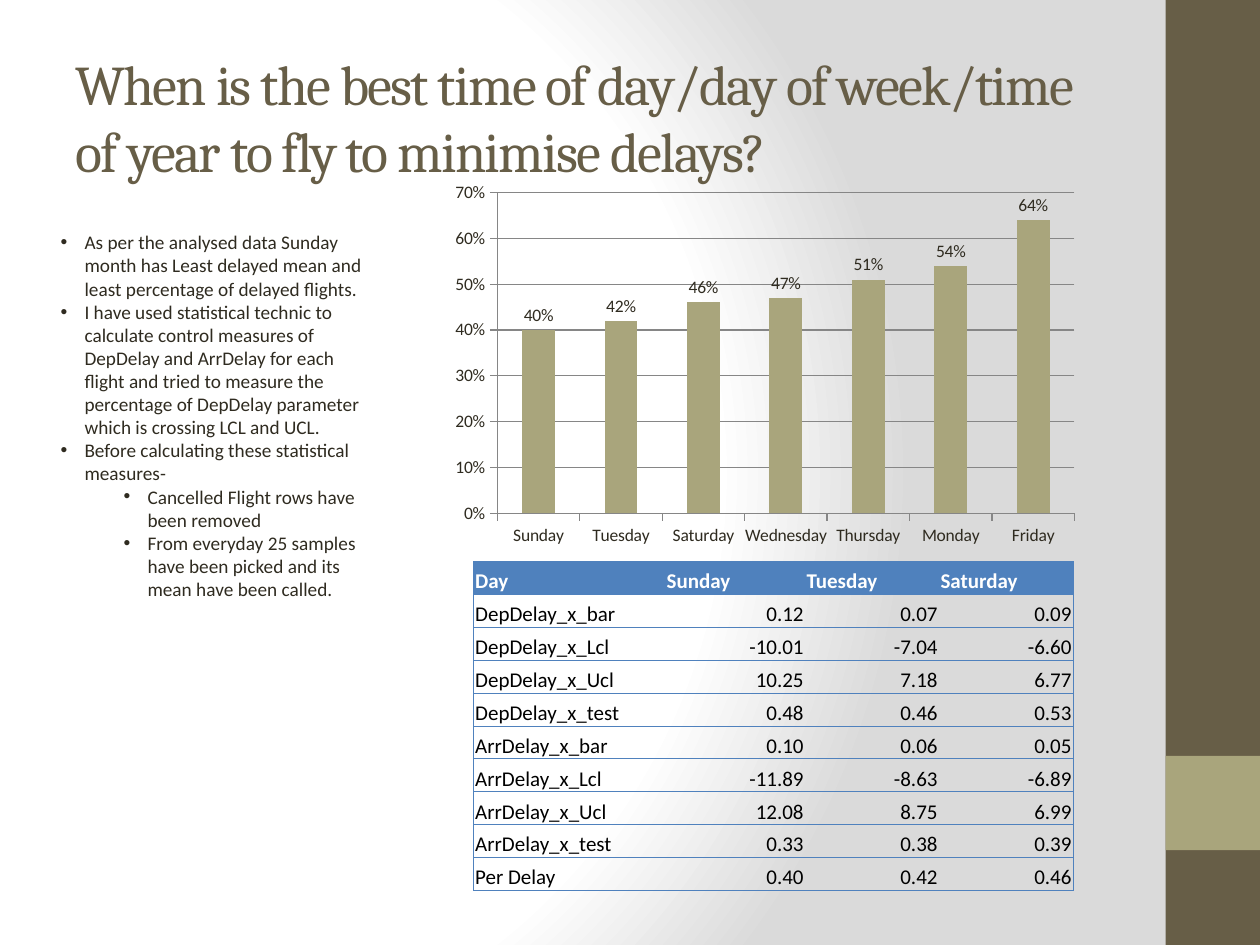
from dataclasses import dataclass
from pptx import Presentation
from pptx import util as u
from pptx import oxml
from pptx.chart import data as cd
from pptx.dml import color as dc
from pptx.enum import chart as ch, shapes, text
from pptx.oxml import ns

OLIVE, SAGE, INK, BLUE, GRID = "675E47", "A9A57C", "2F2B20", "4F81BD", "868686"


@dataclass
class Box:
    left: float
    top: float
    wide: float
    high: float

    def cm(self) -> list:
        return [u.Cm(v) for v in (self.left, self.top, self.wide, self.high)]


@dataclass
class Band:
    box: Box
    fill: str


@dataclass
class Point:
    words: str
    level: int = 0


def paint(obj, shade: str) -> None:
    obj.fill.solid()
    obj.fill.fore_color.rgb = dc.RGBColor.from_string(shade)


def style(font, name: str, size: float, shade: str, bold: bool = False) -> None:
    font.name, font.size, font.bold = name, u.Pt(size), bold
    font.color.rgb = dc.RGBColor.from_string(shade)


def place(shape, box: Box) -> None:
    shape.left, shape.top, shape.width, shape.height = box.cm()


def backdrop(slide) -> None:
    stops = "".join(
        f'<a:gs pos="{pos * 1000}"><a:srgbClr val="{shade}"/></a:gs>'
        for pos, shade in ((0, "FFFFFF"), (75, "FFFFFF"), (100, "DADADA")))
    slide.element.cSld.insert(0, oxml.parse_xml(
        f'<p:bg {ns.nsdecls("p", "a")}><p:bgPr><a:gradFill rotWithShape="1">'
        f'<a:gsLst>{stops}</a:gsLst><a:path path="circle">'
        '<a:fillToRect l="20000" t="50000" r="100000" b="50000"/></a:path>'
        '</a:gradFill><a:effectLst/></p:bgPr></p:bg>'))


def draw_band(slide, band: Band) -> None:
    rect = slide.shapes.add_shape(shapes.MSO_SHAPE.RECTANGLE, *band.box.cm())
    rect.shadow.inherit = False
    paint(rect, band.fill)
    rect.line.fill.background()


def head(slide, words: str, box: Box) -> None:
    title = slide.shapes.title
    place(title, box)
    frame = title.text_frame
    frame.text = words
    frame.auto_size = text.MSO_AUTO_SIZE.NONE
    frame.vertical_anchor = text.MSO_ANCHOR.MIDDLE
    para = frame.paragraphs[0]
    para.alignment = text.PP_ALIGN.LEFT
    style(para.runs[0].font, "Cambria", 32, OLIVE)
    para.runs[0].font._element.set("spc", "-100")


def points(slide, items: list[Point], box: Box) -> None:
    body = slide.placeholders[1]
    place(body, box)
    frame = body.text_frame
    frame.text = "\n".join(item.words for item in items)
    frame.auto_size = text.MSO_AUTO_SIZE.NONE
    for para, item in zip(frame.paragraphs, items):
        para.level = item.level
        para.space_before = u.Pt(0)
        style(para.runs[0].font, "Calibri", 11, INK)
        props = para._p.get_or_add_pPr()
        props.set("marL", str(u.Cm(0.48 + 1.27 * item.level)))
        props.set("indent", str(-u.Cm(0.48)))
        for tag in ('buFont typeface="Arial"', 'buChar char="•"'):
            props.append(oxml.parse_xml(f'<a:{tag} {ns.nsdecls("a")}/>'))


def graph(slide, days: list[str], rates: list[float], box: Box) -> None:
    data = cd.CategoryChartData(number_format="0%")
    data.categories = days
    data.add_series("Series 1", rates)
    chart = slide.shapes.add_chart(
        ch.XL_CHART_TYPE.COLUMN_CLUSTERED, *box.cm(), data).chart
    chart.has_legend = chart.has_title = False
    style(chart.font, "Calibri", 10, INK)
    plot = chart.plots[0]
    plot.gap_width, plot.vary_by_categories = 150, False
    paint(plot.series[0].format, SAGE)
    plot.has_data_labels = True
    tags = plot.data_labels
    tags.show_value, tags.number_format_is_linked = True, False
    tags.number_format = "0%"
    tags.position = ch.XL_LABEL_POSITION.OUTSIDE_END
    rates_axis = chart.value_axis
    rates_axis.minimum_scale, rates_axis.maximum_scale = 0, 0.7
    rates_axis.major_unit = 0.1
    rates_axis.has_major_gridlines = True
    rates_axis.tick_labels.number_format = "0%"
    rates_axis.tick_labels.number_format_is_linked = False
    for axis in (rates_axis, chart.category_axis):
        axis.major_tick_mark = ch.XL_TICK_MARK.OUTSIDE
    for part in (rates_axis, chart.category_axis, rates_axis.major_gridlines):
        part.format.line.width = u.Pt(0.75)
        part.format.line.color.rgb = dc.RGBColor.from_string(GRID)


def edge(cell, sides: str) -> None:
    props = cell._tc.get_or_add_tcPr()
    for at, side in enumerate(sides):
        props.insert(at, oxml.parse_xml(
            f'<a:ln{side} {ns.nsdecls("a")} w="{u.Pt(0.5)}"><a:solidFill>'
            f'<a:srgbClr val="{BLUE}"/></a:solidFill></a:ln{side}>'))


def grid(slide, rows: list[list[str]], wides: list[float], box: Box) -> None:
    table = slide.shapes.add_table(len(rows), len(wides), *box.cm()).table
    table.horz_banding = False
    table._tbl.tblPr.find(ns.qn("a:tableStyleId")).text = \
        "{2D5ABB26-0587-4C30-8999-92F81FD0307C}"
    for col, wide in zip(table.columns, wides):
        col.width = u.Cm(wide)
    last = len(wides) - 1
    for r, row in enumerate(rows):
        table.rows[r].height = u.Cm(box.high / len(rows))
        for c, words in enumerate(row):
            cell = table.cell(r, c)
            cell.text = words
            cell.vertical_anchor = text.MSO_ANCHOR.BOTTOM
            cell.margin_left = cell.margin_right = cell.margin_top = u.Cm(0.03)
            cell.margin_bottom = 0
            para = cell.text_frame.paragraphs[0]
            top = r == 0
            style(para.runs[0].font, "Calibri", 12,
                  "FFFFFF" if top else "000000", top)
            if top:
                paint(cell, BLUE)
            else:
                cell.fill.background()
                if c:
                    para.alignment = text.PP_ALIGN.RIGHT
            edge(cell, {0: "LTB", last: "RTB"}.get(c, "TB"))


deck = Presentation()
deck.slide_width, deck.slide_height = u.Cm(25.4), u.Cm(19.05)
slide = deck.slides.add_slide(deck.slide_layouts[1])
backdrop(slide)
for band in (Band(Box(23.5, 0, 1.9, 19.05), OLIVE),
             Band(Box(23.5, 15.24, 1.9, 1.9), SAGE)):
    draw_band(slide, band)
head(slide, "When is the best time of day/day of week/time of year to fly "
     "to minimise delays?", Box(1.27, 0.76, 21.17, 3.18))
points(slide, [
    Point("As per the analysed data Sunday month has Least delayed mean and "
          "least percentage of delayed flights."),
    Point("I have used statistical technic to calculate control measures of "
          "DepDelay and ArrDelay for each flight and tried to measure the "
          "percentage of DepDelay parameter which is crossing LCL and UCL."),
    Point("Before calculating these statistical measures-"),
    Point("Cancelled Flight rows have been removed", 1),
    Point("From everyday 25 samples have been picked and its mean have been "
          "called.", 1),
], Box(0.97, 4.52, 6.83, 7.77))
graph(slide, ["Sunday", "Tuesday", "Saturday", "Wednesday", "Thursday",
              "Monday", "Friday"],
      [0.4, 0.42, 0.46, 0.47, 0.51, 0.54, 0.64], Box(8.92, 3.53, 13, 7.62))
grid(slide, [
    ["Day", "Sunday", "Tuesday", "Saturday"],
    ["DepDelay_x_bar", "0.12", "0.07", "0.09"],
    ["DepDelay_x_Lcl", "-10.01", "-7.04", "-6.60"],
    ["DepDelay_x_Ucl", "10.25", "7.18", "6.77"],
    ["DepDelay_x_test", "0.48", "0.46", "0.53"],
    ["ArrDelay_x_bar", "0.10", "0.06", "0.05"],
    ["ArrDelay_x_Lcl", "-11.89", "-8.63", "-6.89"],
    ["ArrDelay_x_Ucl", "12.08", "8.75", "6.99"],
    ["ArrDelay_x_test", "0.33", "0.38", "0.39"],
    ["Per Delay", "0.40", "0.42", "0.46"],
], [3.86, 2.82, 2.7, 2.7], Box(9.55, 11.32, 12.09, 6.63))
deck.save("out.pptx")
